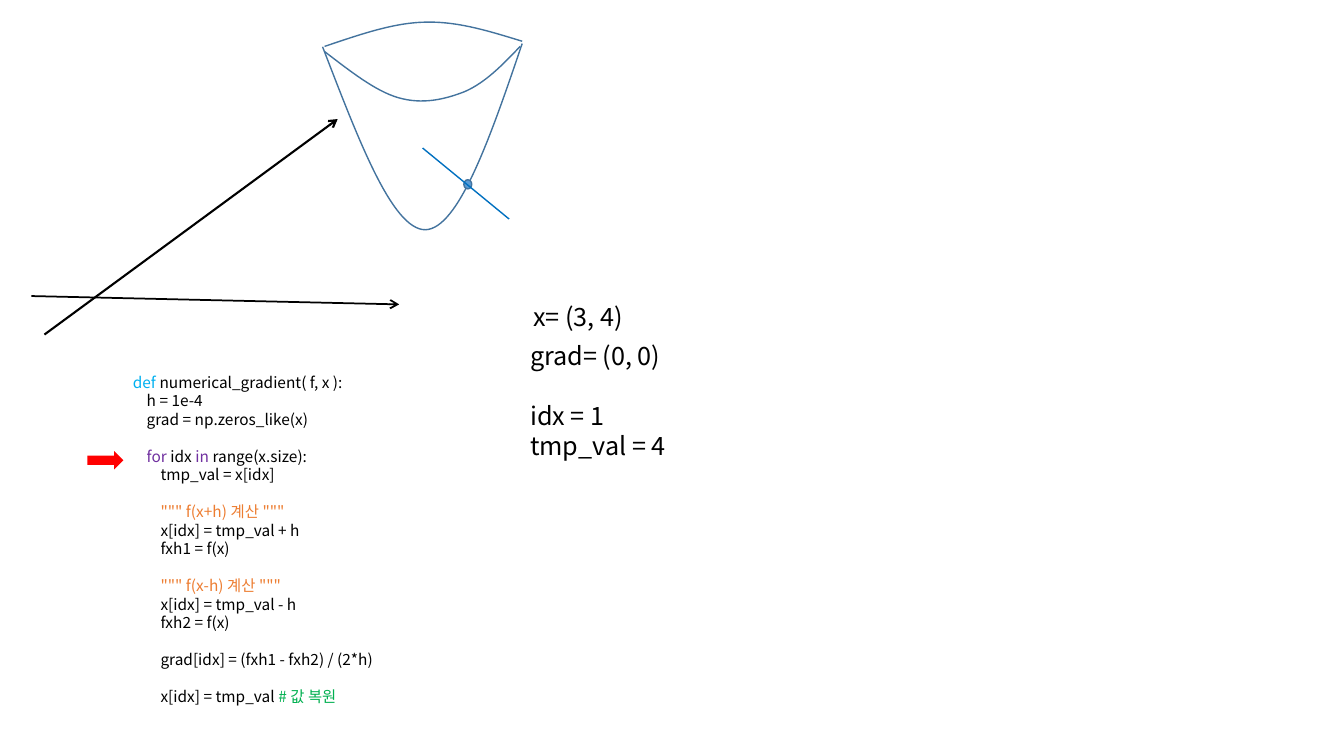
"""Build a slide that traces numerical_gradient beside a sketch of its surface."""
from dataclasses import dataclass

from lxml.etree import Element, SubElement
from pptx import Presentation
from pptx.dml.color import RGBColor
from pptx.enum.shapes import MSO_CONNECTOR, MSO_SHAPE
from pptx.oxml.ns import qn
from pptx.util import Cm, Pt


@dataclass(frozen=True)
class Theme:
    """Hold the colours, font and type sizes of the slide."""
    font: str = "Noto Sans CJK KR"
    code_size: float = 11
    value_size: float = 18
    line_pitch: float = 1.2
    text: str = "000000"
    definition: str = "00B0F0"
    keyword: str = "7030A0"
    docstring: str = "ED7D31"
    remark: str = "00B050"
    curve: str = "43739E"
    point: str = "5B9BD5"
    tangent: str = "0070C0"
    marker: str = "FF0000"


THEME = Theme()

CODE_BLOCKS = [
    [
        [("def ", THEME.definition), ("numerical_gradient( f, x ):", None)],
        [("    h = 1e-4", None)],
        [("    grad = np.zeros_like(x)", None)],
    ],
    [
        [("    ", None), ("for ", THEME.keyword), ("idx ", None),
         ("in", THEME.keyword), (" range(x.size):", None)],
        [("        tmp_val = x[idx]", None)],
    ],
    [
        [("        ", None), ('""" f(x+h) 계산 """', THEME.docstring)],
        [("        x[idx] = tmp_val + h", None)],
        [("        fxh1 = f(x)", None)],
    ],
    [
        [("        ", None), ('""" f(x-h) 계산 """', THEME.docstring)],
        [("        x[idx] = tmp_val - h", None)],
        [("        fxh2 = f(x)", None)],
    ],
    [[("        grad[idx] = (fxh1 - fxh2) / (2*h)", None)]],
    [[("        x[idx] = tmp_val ", None), ("# 값 복원", THEME.remark)]],
]
POINT_BLOCKS = [[[("x= (3, 4)", None)]]]
STATE_BLOCKS = [
    [[("grad= (0, 0)", None)]],
    [[("idx = 1", None)], [("tmp_val = 4", None)]],
]

BOWL = [(8.13, 1.18), (9.02, 3.48), (9.88, 5.79), (10.72, 5.79),
        (11.56, 5.77), (12.37, 3.43), (13.16, 1.1)]
FRONT_RIM = [(8.18, 1.3), (8.81, 1.78), (9.45, 2.29), (10.03, 2.46),
             (10.64, 2.64), (11.2, 2.51), (11.71, 2.31),
             (12.24, 2.08), (12.67, 1.63), (13.11, 1.17)]
BACK_RIM = [(8.18, 1.17), (9.02, 0.89), (9.88, 0.58), (10.69, 0.56),
            (11.53, 0.53), (12.34, 0.79), (13.16, 1.04)]


def rgb(colour):
    """Turn a hex string into a colour."""
    return RGBColor.from_string(colour)


def add_curve(slide, controls):
    """Draw an open chain of cubic curves through every third point."""
    points = [(Cm(x), Cm(y)) for x, y in controls]
    builder = slide.shapes.build_freeform(*points[0])
    builder.add_line_segments(points[3::3], close=False)
    shape = builder.convert_to_shape()
    segments = list(shape._element.iter(qn("a:lnTo")))
    for index, segment in enumerate(segments):
        cubic = Element(qn("a:cubicBezTo"))
        for x, y in points[3 * index + 1:3 * index + 4]:
            SubElement(cubic, qn("a:pt"), x=str(x - shape.left), y=str(y - shape.top))
        segment.getparent().replace(segment, cubic)
    shape.shadow.inherit = False
    shape.fill.background()
    shape.line.color.rgb = rgb(THEME.curve)
    shape.line.width = Pt(1)


def add_line(slide, start, end, colour, width, arrow=False):
    """Draw a straight line, with an arrowhead at its end if asked."""
    connector = slide.shapes.add_connector(
        MSO_CONNECTOR.STRAIGHT, *(Cm(length) for length in start + end))
    connector.line.color.rgb = rgb(colour)
    connector.line.width = Pt(width)
    if arrow:
        SubElement(connector.line._get_or_add_ln(), qn("a:tailEnd"), type="arrow")
    SubElement(connector._element.spPr, qn("a:effectLst"))


def add_solid(slide, kind, box, fill, outline=None):
    """Draw a filled preset shape."""
    shape = slide.shapes.add_shape(kind, *(Cm(length) for length in box))
    shape.shadow.inherit = False
    shape.fill.solid()
    shape.fill.fore_color.rgb = rgb(fill)
    if outline:
        shape.line.color.rgb = rgb(outline)
        shape.line.width = Pt(1)
    else:
        shape.line.fill.background()


def format_paragraph(paragraph, size):
    """Set the font and line pitch of a paragraph."""
    paragraph.line_spacing = Pt(size * THEME.line_pitch)
    paragraph.font.name = THEME.font
    paragraph.font.size = Pt(size)
    paragraph.font.color.rgb = rgb(THEME.text)
    properties = paragraph._p.pPr.find(qn("a:defRPr"))
    SubElement(properties, qn("a:ea"), typeface=THEME.font)


def add_listing(slide, box, blocks, size):
    """Write blocks of coloured lines, one line of space between blocks."""
    frame = slide.shapes.add_textbox(*(Cm(length) for length in box)).text_frame
    frame.word_wrap = True
    paragraph = frame.paragraphs[0]
    for block_index, block in enumerate(blocks):
        for line_index, line in enumerate(block):
            if block_index or line_index:
                paragraph = frame.add_paragraph()
            if block_index and not line_index:
                paragraph.space_before = Pt(size * THEME.line_pitch)
            format_paragraph(paragraph, size)
            for text, colour in line:
                run = paragraph.add_run()
                run.text = text
                if colour:
                    run.font.color.rgb = rgb(colour)


def main():
    """Build and save the slide."""
    presentation = Presentation()
    presentation.slide_width, presentation.slide_height = Cm(33.87), Cm(19.05)
    slide = presentation.slides.add_slide(presentation.slide_layouts[6])

    add_line(slide, (1.12, 8.43), (8.51, 3), THEME.text, 1.5, arrow=True)
    add_line(slide, (0.79, 7.46), (10.06, 7.67), THEME.text, 1.25, arrow=True)
    for controls in (BOWL, FRONT_RIM, BACK_RIM):
        add_curve(slide, controls)
    add_solid(slide, MSO_SHAPE.OVAL, (11.69, 4.53, 0.2, 0.23), THEME.point, THEME.curve)
    add_line(slide, (12.83, 5.52), (10.65, 3.73), THEME.tangent, 1)

    add_listing(slide, (3.1, 9.27, 9.37, 9.19), CODE_BLOCKS, THEME.code_size)
    add_solid(slide, MSO_SHAPE.RIGHT_ARROW, (2.2, 11.37, 0.91, 0.46), THEME.marker)
    add_listing(slide, (13.19, 7.47, 3.07, 1.02), POINT_BLOCKS, THEME.value_size)
    add_listing(slide, (13.11, 8.44, 5.49, 4.11), STATE_BLOCKS, THEME.value_size)
    presentation.save("out.pptx")


if __name__ == "__main__":
    main()
